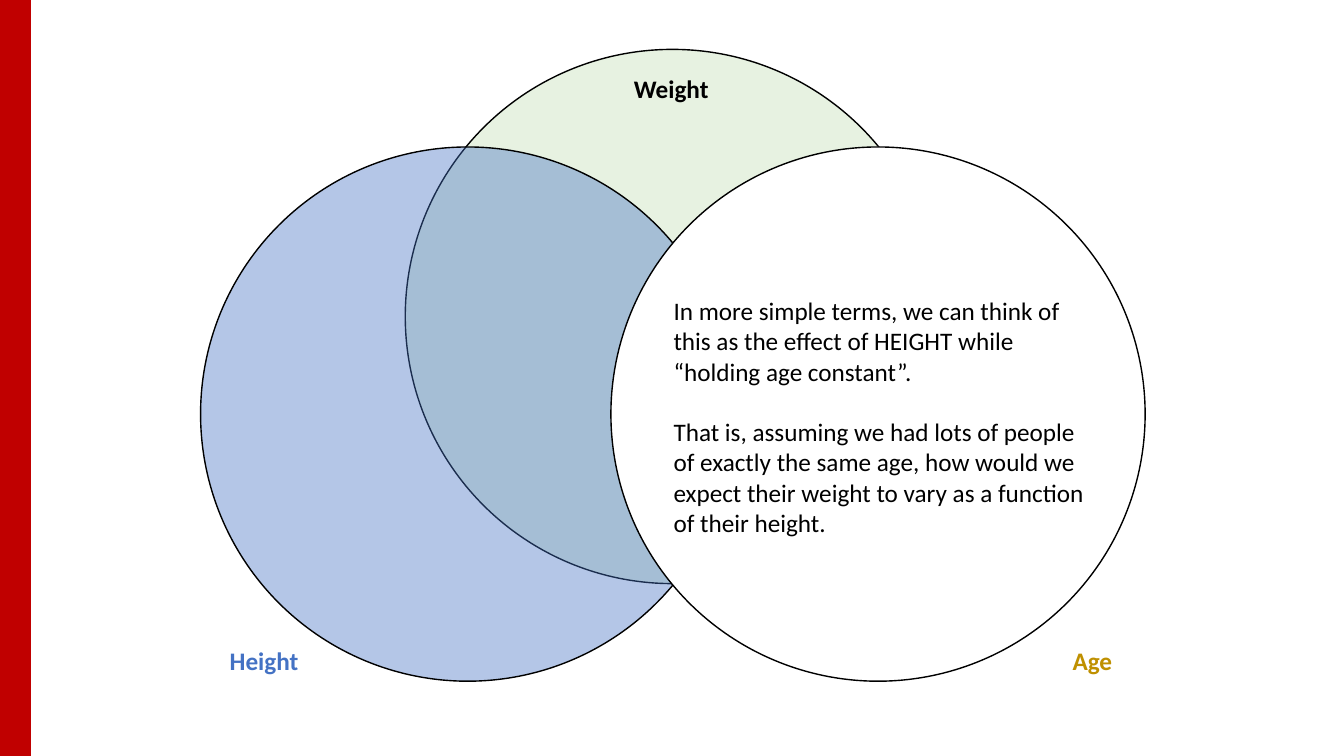
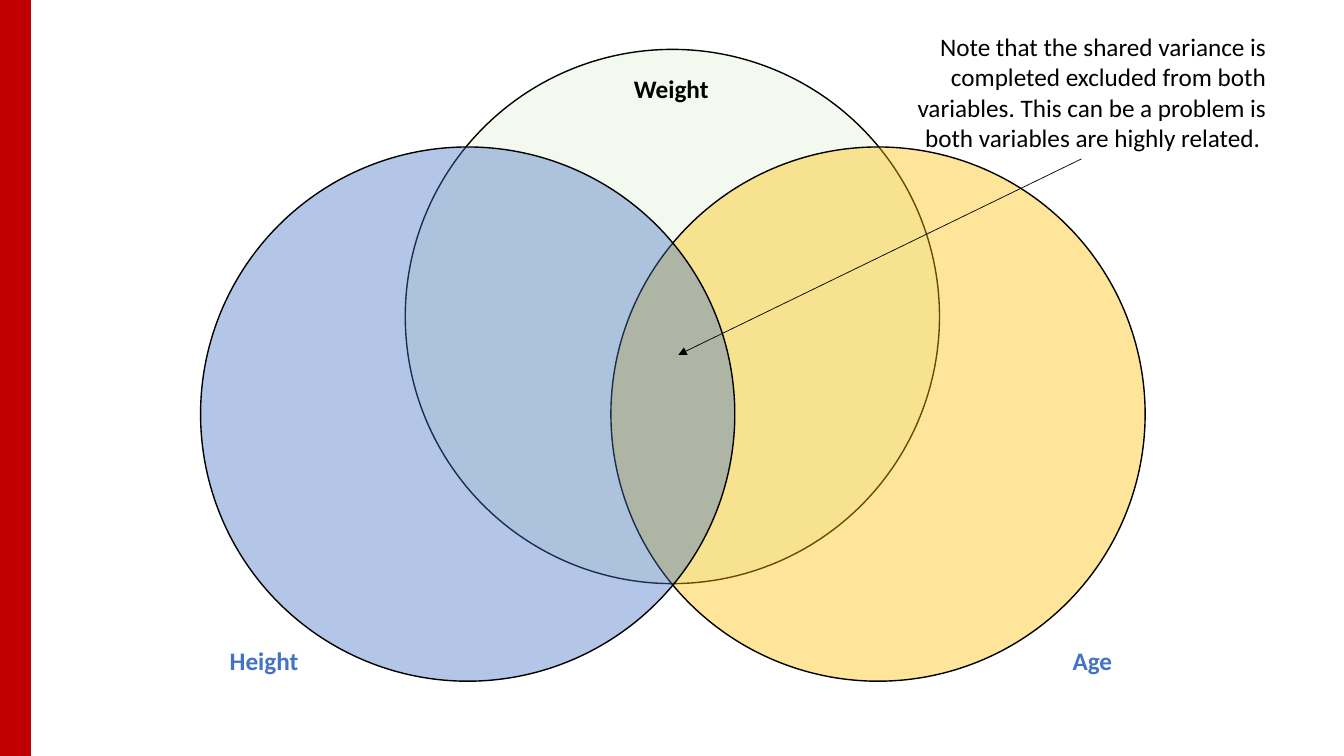
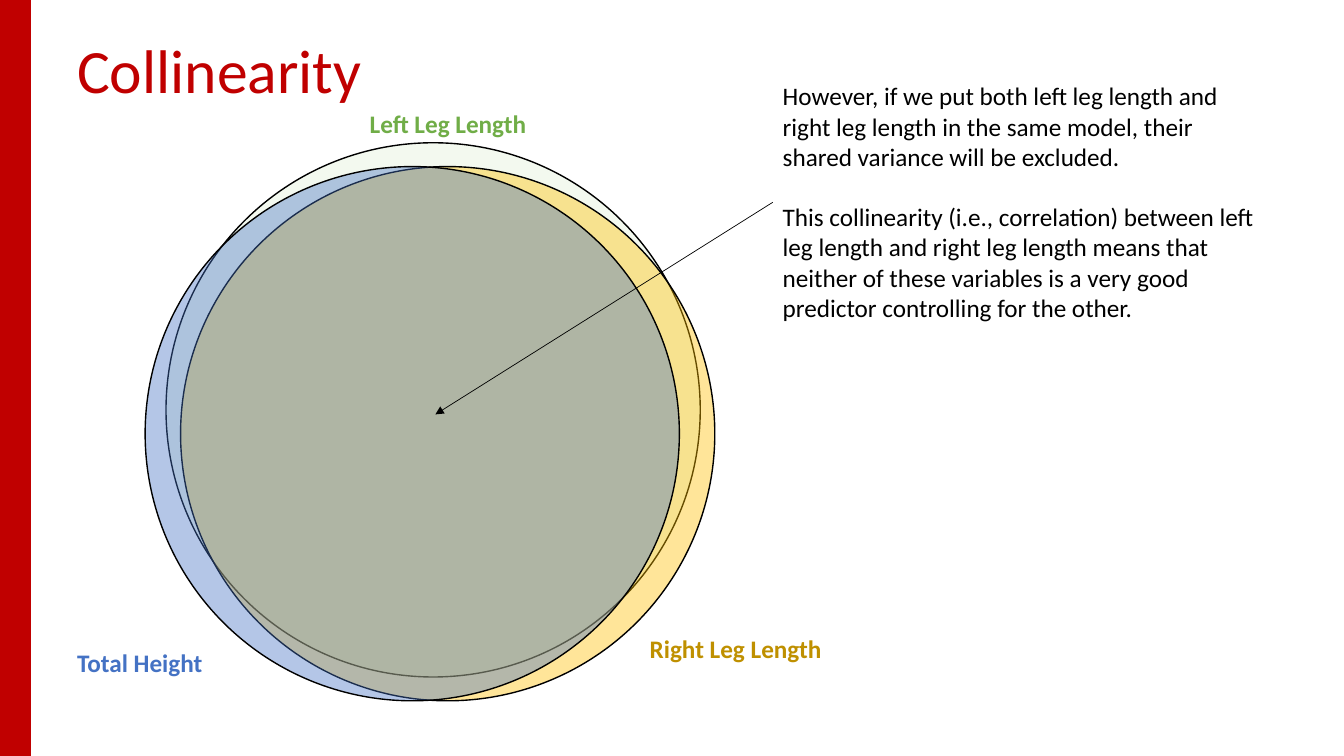
from pptx import Presentation
from pptx.dml.color import RGBColor
from pptx.enum.shapes import MSO_CONNECTOR as Connector, MSO_SHAPE as Shape
from pptx.enum.text import MSO_AUTO_SIZE as AutoSize, PP_ALIGN as Align
from pptx.oxml.ns import qn
from pptx.util import Pt
from lxml.etree import SubElement

COLORS = {
    "red": "C00000",
    "black": "000000",
    "white": "FFFFFF",
    "blue": "4472C4",
    "gold": "FFC000",
    "dark gold": "BF9000",
    "green": "70AD47",
    "light green": "C5E0B4",
    "pale green": "E2F0D9",
}
WIDTH, HEIGHT = 960, 540
BAND_WIDTH = 22
DIAMETER = 381.6
LABEL_HEIGHT = 29
WEIGHT_SPOT = (289.5, 35.3)
HEIGHT_SPOT = (143.3, 105)
AGE_SPOT = (436.4, 105)


class Deck:
    font = "Calibri"
    body_size = 18
    title_size = 44
    paragraph_gap = 21.6

    def __init__(self):
        self.presentation = Presentation()
        self.presentation.slide_width = Pt(WIDTH)
        self.presentation.slide_height = Pt(HEIGHT)
        self.slide = None

    def color(self, name):
        return RGBColor.from_string(COLORS[name])

    def new_slide(self):
        blank = self.presentation.slide_layouts[6]
        self.slide = self.presentation.slides.add_slide(blank)
        self.shape(Shape.RECTANGLE, (0, 0, BAND_WIDTH, HEIGHT), "red", "red")

    def shape(self, kind, box, fill, line):
        shape = self.slide.shapes.add_shape(kind, *map(Pt, box))
        shape.shadow.inherit = False
        shape.fill.solid()
        shape.fill.fore_color.rgb = self.color(fill)
        shape.line.color.rgb = self.color(line)
        shape.line.width = Pt(1)
        return shape

    def circle(self, spot, fill, opacity=40):
        circle = self.shape(Shape.OVAL, (*spot, DIAMETER, DIAMETER), fill, "black")
        if opacity < 100:
            tint = circle.fill._xPr.find(qn("a:solidFill"))[0]
            SubElement(tint, qn("a:alpha")).set("val", str(opacity * 1000))

    def text(self, box, paragraphs, color="black", size=body_size, bold=False,
             align=Align.LEFT, wrap=True):
        frame = self.slide.shapes.add_textbox(*map(Pt, box)).text_frame
        frame.word_wrap = wrap
        frame.auto_size = AutoSize.SHAPE_TO_FIT_TEXT
        frame.text = "\n".join(paragraphs)
        for index, paragraph in enumerate(frame.paragraphs):
            paragraph.alignment = align
            if index:
                paragraph.space_before = Pt(self.paragraph_gap)
            for run in paragraph.runs:
                run.font.name = self.font
                run.font.size = Pt(size)
                run.font.bold = bold
                run.font.color.rgb = self.color(color)

    def title(self, words):
        self.text((48, 19, 269, 60), [words], "red", self.title_size)

    def label(self, words, left, top, width, color):
        self.text((left, top, width, LABEL_HEIGHT), [words], color,
                  bold=True, wrap=False)

    def variable_labels(self, age_color):
        self.label("Weight", 445.6, 48.5, 68.5, "black")
        self.label("Height", 157, 457.5, 64, "blue")
        self.label("Age", 759, 457.5, 43, age_color)

    def arrow(self, start, end):
        arrow = self.slide.shapes.add_connector(
            Connector.STRAIGHT, *map(Pt, (*start, *end)))
        arrow.line.color.rgb = self.color("black")
        arrow.line.width = Pt(0.5)
        SubElement(arrow.line._get_or_add_ln(), qn("a:tailEnd")).set("type", "triangle")
        SubElement(arrow._element.spPr, qn("a:effectLst"))


def height_effect(deck):
    deck.new_slide()
    deck.circle(WEIGHT_SPOT, "light green")
    deck.circle(HEIGHT_SPOT, "blue")
    deck.circle(AGE_SPOT, "white", opacity=100)
    deck.variable_labels("dark gold")
    deck.text((474, 207.5, 312, 181), [
        "In more simple terms, we can think of this as the effect of HEIGHT "
        "while “holding age constant”.",
        "That is, assuming we had lots of people of exactly the same age, how "
        "would we expect their weight to vary as a function of their height.",
    ])


def shared_variance(deck):
    deck.new_slide()
    deck.circle(WEIGHT_SPOT, "pale green")
    deck.circle(AGE_SPOT, "gold")
    deck.circle(HEIGHT_SPOT, "blue")
    deck.variable_labels("blue")
    deck.text((632, 19, 279.5, 94), [
        "Note that the shared variance is completed excluded from both "
        "variables. This can be a problem is both variables are highly related. ",
    ], align=Align.RIGHT)
    deck.arrow((772.5, 113.5), (484.5, 253.5))


def collinearity(deck):
    deck.new_slide()
    deck.circle((118.6, 102), "pale green")
    deck.circle((129, 119), "gold")
    deck.circle((103.7, 119), "blue")
    deck.label("Left Leg Length", 257, 73.5, 128, "green")
    deck.label("Total Height", 48, 459, 105, "blue")
    deck.label("Right Leg Length", 457, 448.5, 138, "dark gold")
    deck.title("Collinearity")
    deck.text((552, 54, 358.5, 181), [
        "However, if we put both left leg length and right leg length in the "
        "same model, their shared variance will be excluded.",
        "This collinearity (i.e., correlation) between left leg length and "
        "right leg length means that neither of these variables is a very good "
        "predictor controlling for the other.",
    ])
    deck.arrow((552, 144.5), (311, 296))


def main():
    deck = Deck()
    height_effect(deck)
    shared_variance(deck)
    collinearity(deck)
    deck.presentation.save("out.pptx")


if __name__ == "__main__":
    main()
